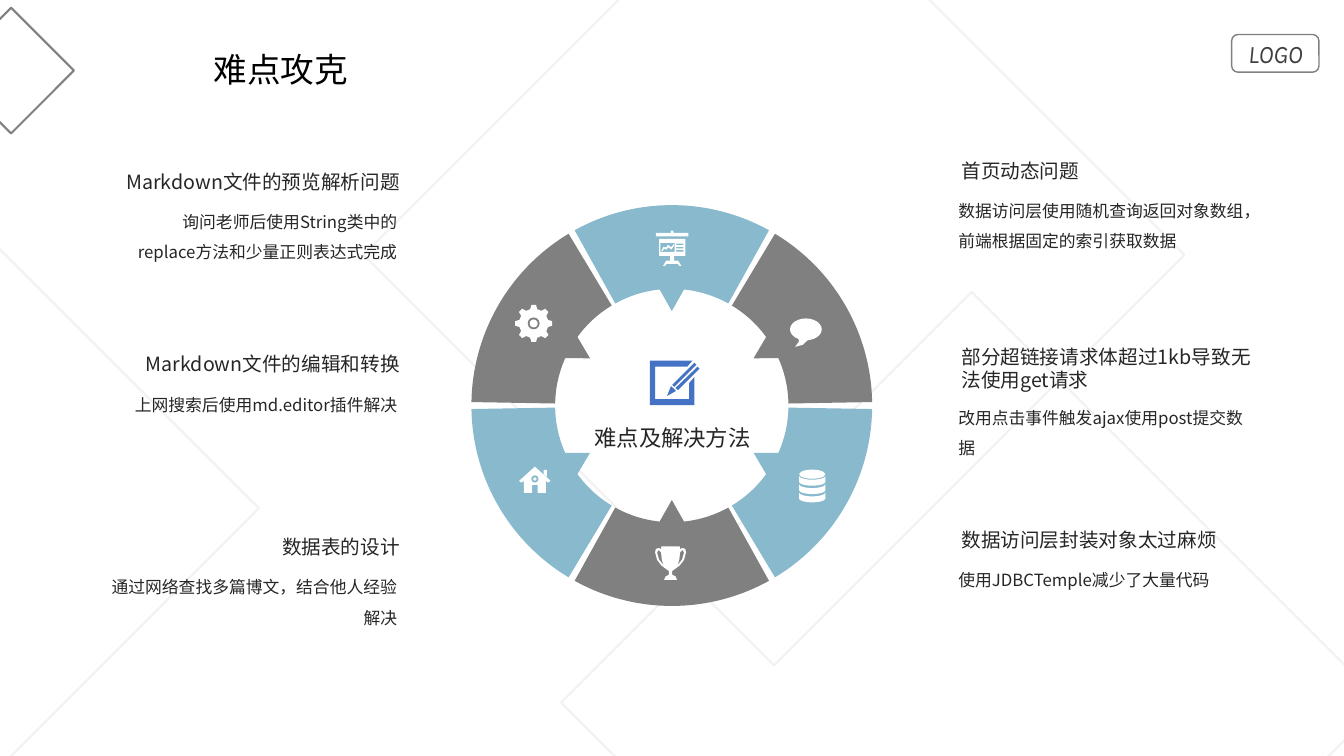
"""Build a slide with a six-part ring of difficulties and their solutions."""
from dataclasses import dataclass
from math import cos, radians, sin

from lxml.etree import SubElement
from pptx import Presentation
from pptx.dml.color import RGBColor
from pptx.enum.shapes import MSO_SHAPE
from pptx.enum.text import MSO_ANCHOR, MSO_AUTO_SIZE, PP_ALIGN
from pptx.oxml.ns import qn
from pptx.util import Cm, Pt


@dataclass(frozen=True)
class Theme:
    blue: str = "88B9CC"
    gray: str = "808080"
    accent: str = "4472C4"
    white: str = "FFFFFF"
    pale: str = "F2F2F2"
    black: str = "000000"
    text: str = "262626"
    logo: str = "404040"
    font: str = "Noto Sans CJK SC"
    logo_font: str = "Karla"
    title_size: int = 24
    logo_size: int = 18
    center_size: int = 16
    heading_size: int = 14
    body_size: int = 12


theme = Theme()


def paint(shape, fill=None, line=None, width=1.5):
    shape.shadow.inherit = False
    if fill:
        shape.fill.solid()
        shape.fill.fore_color.rgb = RGBColor.from_string(fill)
    else:
        shape.fill.background()
    if line:
        shape.line.color.rgb = RGBColor.from_string(line)
        shape.line.width = Pt(width)
    else:
        shape.line.fill.background()


def write(shape, text, size, color, alignment, spacing=1.0, inset=(0.25, 0.13), font=theme.font):
    frame = shape.text_frame
    frame.text = text
    frame.word_wrap = True
    frame.auto_size = MSO_AUTO_SIZE.NONE
    frame.margin_left = frame.margin_right = Cm(inset[0])
    frame.margin_top = frame.margin_bottom = Cm(inset[1])
    for paragraph in frame.paragraphs:
        paragraph.alignment = alignment
        paragraph.line_spacing = spacing
        paragraph.font.size = Pt(size)
        paragraph.font.color.rgb = RGBColor.from_string(color)
        paragraph.font.name = font
        SubElement(paragraph.font._element, qn("a:ea"), typeface=font)


presentation = Presentation()
presentation.slide_width, presentation.slide_height = Cm(33.87), Cm(19.05)
slide = presentation.slides.add_slide(presentation.slide_layouts[5])
shapes = slide.shapes

diamonds = [
    (-6.2, 7.54, 10.54, theme.pale),
    (12.19, -0.89, 14.63, theme.pale),
    (17.17, 10.39, 14.63, theme.pale),
    (-0.84, 0.66, 2.24, theme.gray),
]
for left, top, side, color in diamonds:
    diamond = shapes.add_shape(MSO_SHAPE.RECTANGLE, Cm(left), Cm(top), Cm(side), Cm(side))
    diamond.rotation = 45
    paint(diamond, line=color)

logo = shapes.add_shape(MSO_SHAPE.ROUNDED_RECTANGLE, Cm(31.04), Cm(0.87), Cm(2.2), Cm(0.95))
paint(logo, line=theme.gray, width=1)
write(logo, "LOGO", theme.logo_size, theme.logo, PP_ALIGN.CENTER, inset=(0, 0), font=theme.logo_font)
logo.text_frame.paragraphs[0].font.italic = True

title = shapes.title
title.left, title.top, title.width, title.height = Cm(1.52), Cm(1.1), Cm(7.5), Cm(1.27)
write(title, "难点攻克", theme.title_size, theme.black, PP_ALIGN.RIGHT)
title.text_frame.vertical_anchor = MSO_ANCHOR.MIDDLE

ring_center = (16.93, 10.22)
outer_radius, inner_radius, tooth_radius = 5.05, 2.94, 2.38
outlines = []
for index in range(6):
    middle = 60 * index - 90
    polar = [(outer_radius, angle) for angle in range(-29, 30)]
    polar += [(inner_radius, angle) for angle in range(29, 5, -1)]
    polar += [(tooth_radius, 0)]
    polar += [(inner_radius, angle) for angle in range(-6, -30, -1)]
    segment = [(radius * cos(radians(middle + angle)), radius * sin(radians(middle + angle)))
               for radius, angle in polar]
    outlines.append((theme.gray if index % 2 else theme.blue, ring_center, [segment]))

gear = [(radius * cos(radians(tooth + angle)), radius * sin(radians(tooth + angle)))
        for tooth in range(0, 360, 45)
        for radius, angle in [(0.37, -14), (0.47, -7), (0.47, 7), (0.37, 14)]]
house = [(0, -0.33), (0.4, 0.03), (0.33, 0.07), (0.28, 0.02), (0.28, 0.33), (0.07, 0.33),
         (0.07, 0.13), (-0.07, 0.13), (-0.07, 0.33), (-0.28, 0.33), (-0.28, 0.02),
         (-0.33, 0.07), (-0.4, 0.03)]
chimney = [(0.22, -0.25), (0.3, -0.25), (0.3, -0.08), (0.22, -0.15)]
bubble_tail = [(-0.2, 0.2), (-0.17, 0.3), (-0.27, 0.44), (-0.08, 0.39), (0.08, 0.24)]
trophy_half = [(0.23, -0.42), (0.24, -0.35), (0.29, -0.38), (0.37, -0.36), (0.39, -0.27),
               (0.34, -0.08), (0.23, 0.06), (0.11, 0.15), (0.04, 0.2), (0.04, 0.29),
               (0.13, 0.34), (0.16, 0.42)]
trophy = trophy_half + [(-x, y) for x, y in reversed(trophy_half)]
handle = [(0.24, -0.27), (0.3, -0.33), (0.34, -0.27), (0.29, -0.09), (0.17, 0.06), (0.22, -0.08)]
easel_half = [(0.33, -0.25), (0.33, 0.18), (0.05, 0.18), (0.05, 0.3), (0.15, 0.3),
              (0.23, 0.43), (0.18, 0.43), (0.14, 0.38)]
easel = easel_half + [(-x, y) for x, y in reversed(easel_half)]
easel_bar_half = [(0.03, -0.46), (0.03, -0.4), (0.41, -0.4), (0.41, -0.31)]
easel_bar = easel_bar_half + [(-x, y) for x, y in reversed(easel_bar_half)]
easel_windows = [[(left, top), (right, top), (right, bottom), (left, bottom)]
                 for left, top, right, bottom in [(-0.3, -0.15, 0.06, 0.08), (0.1, -0.13, 0.28, -0.09),
                                                  (0.1, -0.05, 0.28, -0.01), (0.1, 0.03, 0.28, 0.07)]]
trend = [(-0.27, 0.05), (-0.22, -0.05), (-0.15, -0.03), (-0.11, -0.1), (-0.02, -0.04),
         (0.05, -0.13), (0.05, -0.08), (-0.02, 0.02), (-0.1, -0.04), (-0.14, 0.02),
         (-0.2, 0), (-0.25, 0.06)]
disk_bands = []
for index in range(3):
    arc = [(0.33 * cos(radians(angle)), 0.21 * index - 0.28 + 0.1 * sin(radians(angle)))
           for angle in range(0, 181, 10)]
    disk_bands.append(arc + [(x, y + 0.15) for x, y in reversed(arc)])
note_frame = [(-0.56, -0.56), (0.51, -0.56), (0.38, -0.41), (-0.43, -0.41), (-0.43, 0.41),
              (0.43, 0.41), (0.43, 0), (0.56, -0.15), (0.56, 0.56), (-0.56, 0.56)]
pencil = [[(0.56, -0.51), (0, 0.05), (0.05, 0.1), (0.61, -0.46)],
          [(0.08, 0.13), (0.15, 0.18), (0.69, -0.36), (0.64, -0.41)],
          [(0.1, 0.2), (-0.03, 0.08), (-0.13, 0.33)]]

easel_center = (16.94, 6.27)
outlines += [
    (theme.white, (13.45, 8.15), [gear]),
    (theme.white, (13.48, 12.09), [house, chimney]),
    (theme.white, (20.31, 8.3), [bubble_tail]),
    (theme.white, (16.9, 14.19), [trophy, handle, [(-x, y) for x, y in handle]]),
    (theme.white, easel_center, [easel_bar, easel, *easel_windows]),
    (theme.white, easel_center, [trend]),
    (theme.white, (20.47, 12.27), disk_bands),
    (theme.accent, (16.94, 9.65), [note_frame, *pencil]),
]
for color, (center_x, center_y), contours in outlines:
    builder = None
    for contour in contours:
        points = [(Cm(center_x + x), Cm(center_y + y)) for x, y in contour]
        if builder is None:
            builder = shapes.build_freeform(*points[0])
        else:
            builder.move_to(*points[0])
        builder.add_line_segments(points[1:], close=True)
    paint(builder.convert_to_shape(), fill=color)

ellipses = [
    (13.45, 8.15, 0.3, 0.3, theme.gray),
    (13.45, 8.15, 0.2, 0.2, theme.white),
    (13.48, 12.07, 0.18, 0.18, theme.blue),
    (13.48, 12.07, 0.08, 0.08, theme.white),
    (20.31, 8.3, 0.8, 0.55, theme.white),
    (20.47, 11.95, 0.66, 0.23, theme.white),
]
for center_x, center_y, width, height, color in ellipses:
    ellipse = shapes.add_shape(MSO_SHAPE.OVAL, Cm(center_x - width / 2), Cm(center_y - height / 2),
                               Cm(width), Cm(height))
    paint(ellipse, fill=color)

heading_inset = (0.18, 0.08)
center_label = shapes.add_textbox(Cm(14.25), Cm(10.62), Cm(5.4), Cm(0.86))
write(center_label, "难点及解决方法", theme.center_size, theme.text, PP_ALIGN.CENTER, inset=heading_inset)

left_topics = [
    (4.19, 0.76, "Markdown文件的预览解析问题", "询问老师后使用String类中的\nreplace方法和少量正则表达式完成"),
    (8.8, 0.76, "Markdown文件的编辑和转换", "上网搜索后使用md.editor插件解决"),
    (13.4, 0.76, "数据表的设计", "通过网络查找多篇博文，结合他人经验解决"),
]
right_topics = [
    (3.92, 0.76, "首页动态问题", "数据访问层使用随机查询返回对象数组，前端根据固定的索引获取数据"),
    (8.61, 1.27, "部分超链接请求体超过1kb导致无法使用get请求", "改用点击事件触发ajax使用post提交数据"),
    (13.22, 0.76, "数据访问层封装对象太过麻烦", "使用JDBCTemple减少了大量代码"),
]
for left, alignment, topics in [(2.29, PP_ALIGN.RIGHT, left_topics), (23.9, PP_ALIGN.LEFT, right_topics)]:
    for top, heading_height, heading, solution in topics:
        heading_box = shapes.add_textbox(Cm(left + 0.15), Cm(top), Cm(7.82), Cm(heading_height))
        write(heading_box, heading, theme.heading_size, theme.text, alignment, inset=heading_inset)
        solution_box = shapes.add_textbox(Cm(left), Cm(top + heading_height), Cm(7.97), Cm(1.8))
        write(solution_box, solution, theme.body_size, theme.text, alignment, spacing=1.5)

presentation.save("out.pptx")
